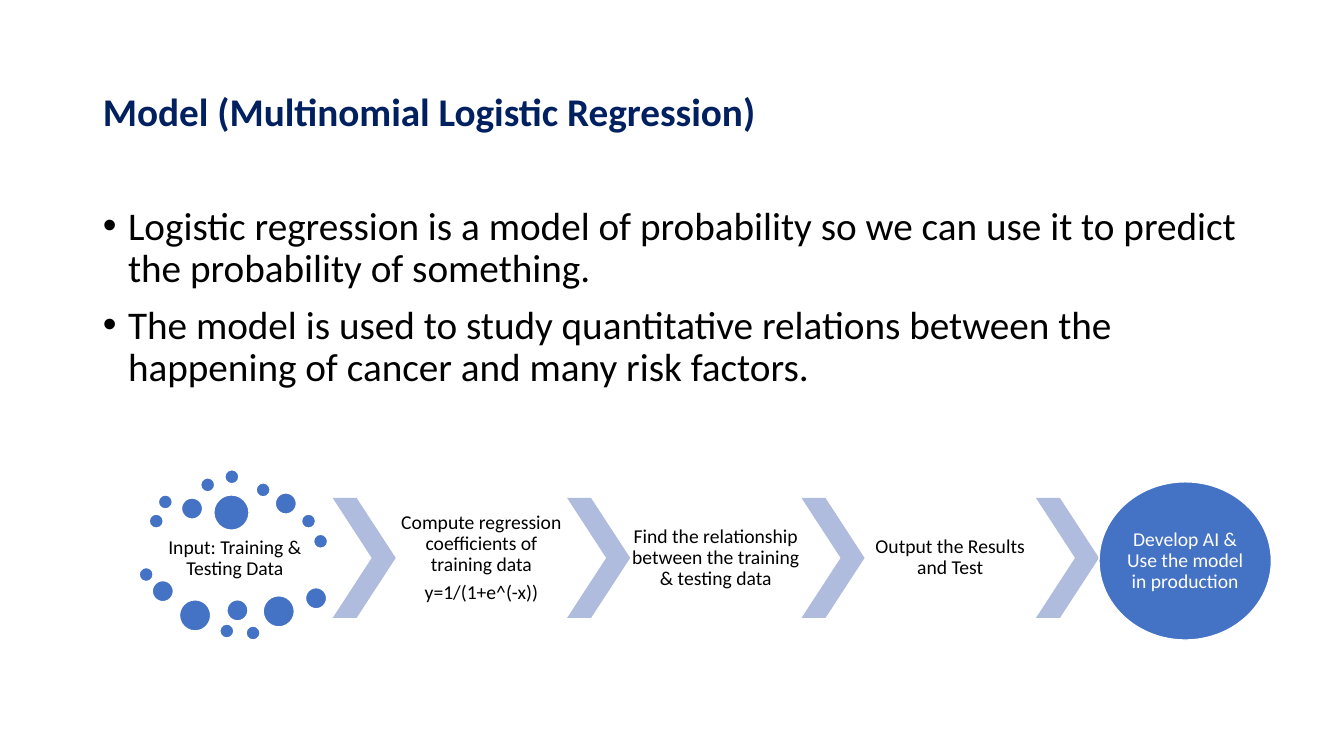
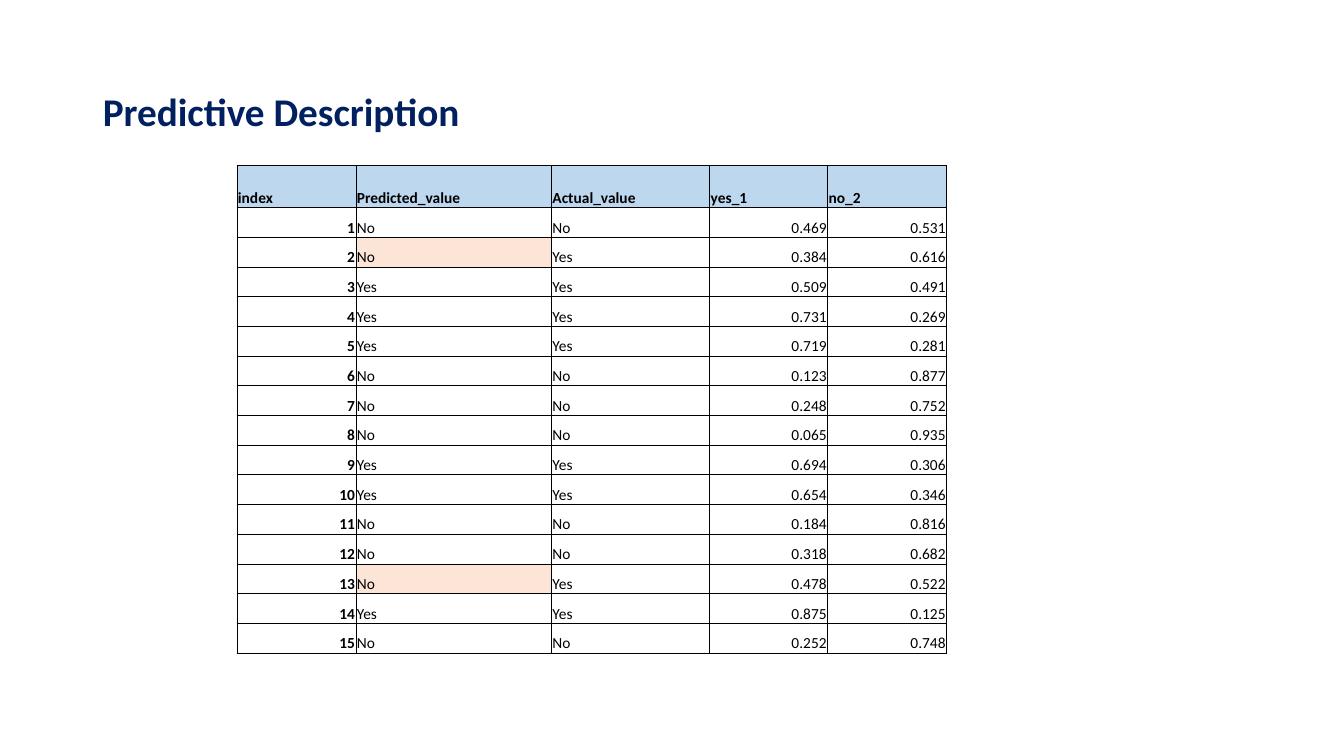
"""Build two slides on a logistic regression model and its predictions."""
import lxml.etree
import pptx
import pptx.dml.color
import pptx.enum.shapes
import pptx.enum.text
import pptx.oxml.ns
import pptx.util

Align = pptx.enum.text.PP_ALIGN
Anchor = pptx.enum.text.MSO_ANCHOR
Shape = pptx.enum.shapes.MSO_SHAPE
UNIT = 9144


class Theme:
    """Colours, fonts and type sizes in points."""
    font = "Calibri"
    navy, black, white = "002060", "000000", "FFFFFF"
    blue, pale = "4472C4", "B0BCDE"
    head, miss = "BDD7EE", "FCE4D6"
    large, label, small = 28, 14, 11
    tight = 0.9


SIZE = (1333, 750)
TITLE_BOX = (92, 86, 1150, 53)
BODY_BOX = (92, 200, 1196, 452)
TITLES = ["Model (Multinomial Logistic Regression)", "Predictive Description"]
POINTS = [
    "Logistic regression is a model of probability so we can use it to predict the probability of something.",
    "The model is used to study quantitative relations between the happening of cancer and many risk factors.",
]

START = ["Input: Training & Testing Data"]
STEPS = [
    ["Compute regression coefficients of training data", "y=1/(1+e^(-x))"],
    ["Find the relationship between the training & testing data"],
    ["Output the Results and Test"],
]
FINISH = ["Develop AI & Use the model in production"]
START_BOX = (136, 511, 194, 87)
FINISH_BOX = (1090, 478, 171, 157)
FLOW_LEFT, FLOW_TOP, FLOW_HIGH = 330, 494, 119
ARROW, STEP = 62.5, 170
DOTS = {
    14: [(148, 510), (157, 491), (199, 474), (223, 466), (254, 479), (299, 510),
         (311, 530), (138, 563), (218, 619), (244, 621)],
    21: [(180, 494), (273, 489), (151, 576), (225, 595), (303, 583)],
    31: [(178, 595), (261, 591)],
    35: [(212, 491)],
}

GRID_BOX = (235, 164, 704, 484)
HEAD_HIGH = 42
COLS = [118, 194, 157, 117, 118]
HEADS = ["index", "Predicted_value", "Actual_value", "yes_1", "no_2"]
ROWS = [
    ("No", "No", "0.469", "0.531"),
    ("No", "Yes", "0.384", "0.616"),
    ("Yes", "Yes", "0.509", "0.491"),
    ("Yes", "Yes", "0.731", "0.269"),
    ("Yes", "Yes", "0.719", "0.281"),
    ("No", "No", "0.123", "0.877"),
    ("No", "No", "0.248", "0.752"),
    ("No", "No", "0.065", "0.935"),
    ("Yes", "Yes", "0.694", "0.306"),
    ("Yes", "Yes", "0.654", "0.346"),
    ("No", "No", "0.184", "0.816"),
    ("No", "No", "0.318", "0.682"),
    ("No", "Yes", "0.478", "0.522"),
    ("Yes", "Yes", "0.875", "0.125"),
    ("No", "No", "0.252", "0.748"),
]


def px(*nums):
    return [round(num * UNIT) for num in nums]


def tint(name):
    return pptx.dml.color.RGBColor.from_string(name)


def inset(item, left, top, right, base):
    item.margin_left, item.margin_top, item.margin_right, item.margin_bottom = px(left, top, right, base)


def write(frame, lines, size, color, align=Align.LEFT, bold=False, gap=0, tight=None):
    frame.text = "\n".join(lines)
    for spot, para in enumerate(frame.paragraphs):
        para.alignment = align
        para.space_before = pptx.util.Pt(gap if spot else 0)
        para.line_spacing = tight
        for run in para.runs:
            font = run.font
            font.name, font.size, font.bold = Theme.font, pptx.util.Pt(size), bold
            font.color.rgb = tint(color)


def place(item, box):
    item.left, item.top, item.width, item.height = px(*box)
    item.text_frame.auto_size = pptx.enum.text.MSO_AUTO_SIZE.NONE


def start(deck, layout, title):
    slide = deck.slides.add_slide(deck.slide_layouts[layout])
    head = slide.shapes.title
    place(head, TITLE_BOX)
    head.text_frame.vertical_anchor = Anchor.MIDDLE
    write(head.text_frame, [title], Theme.large, Theme.navy, bold=True, tight=Theme.tight)
    return slide


def draw(shapes, kind, box, fill, edge=None):
    item = shapes.add_shape(kind, *px(*box))
    item.shadow.inherit = False
    item.fill.solid()
    item.fill.fore_color.rgb = tint(fill)
    if edge:
        item.line.color.rgb = tint(edge)
        item.line.width = pptx.util.Pt(1)
    else:
        item.line.fill.background()
    return item


def label(item, lines, color=Theme.black, pad=2):
    frame = item.text_frame
    frame.word_wrap = True
    frame.vertical_anchor = Anchor.MIDDLE
    inset(frame, pad, pad, pad, pad)
    write(frame, lines, Theme.label, color, Align.CENTER, gap=5, tight=Theme.tight)


def flow(slide):
    shapes = slide.shapes.add_group_shape().shapes
    label(shapes.add_textbox(*px(*START_BOX)), START)
    for size, spots in DOTS.items():
        for left, top in spots:
            draw(shapes, Shape.OVAL, (left, top, size, size), Theme.blue, Theme.white)
    for spot in range(len(STEPS) + 1):
        left = FLOW_LEFT + spot * (ARROW + STEP)
        arrow = draw(shapes, Shape.CHEVRON, (left, FLOW_TOP, ARROW, FLOW_HIGH), Theme.pale)
        arrow.adjustments[0] = 0.62
        if spot < len(STEPS):
            box = (left + ARROW, FLOW_TOP, STEP, FLOW_HIGH)
            label(shapes.add_textbox(*px(*box)), STEPS[spot])
    end = draw(shapes, Shape.OVAL, FINISH_BOX, Theme.blue, Theme.white)
    label(end, FINISH, Theme.white, 0)


def bullets(slide):
    body = slide.placeholders[1]
    place(body, BODY_BOX)
    write(body.text_frame, POINTS, Theme.large, Theme.black, gap=10, tight=Theme.tight)
    for para in body.text_frame.paragraphs:
        props = para._p.get_or_add_pPr()
        props.set("marL", str(25 * UNIT))
        props.set("indent", str(-25 * UNIT))


def border(cell):
    qn, sub = pptx.oxml.ns.qn, lxml.etree.SubElement
    props = cell._tc.get_or_add_tcPr()
    for side in "LRTB":
        line = sub(props, qn("a:ln" + side), w="6350")
        sub(sub(line, qn("a:solidFill")), qn("a:srgbClr"), val=Theme.black)


def grid(slide):
    rows = [HEADS] + [(str(num), *row) for num, row in enumerate(ROWS, 1)]
    table = slide.shapes.add_table(len(rows), len(COLS), *px(*GRID_BOX)).table
    table.first_row = table.horz_banding = False
    for col, width in zip(table.columns, px(*COLS)):
        col.width = width
    high = (GRID_BOX[3] - HEAD_HIGH) / len(ROWS)
    for r, row in enumerate(rows):
        table.rows[r].height = px(high if r else HEAD_HIGH)[0]
        for c, text in enumerate(row):
            cell = table.cell(r, c)
            cell.vertical_anchor = Anchor.BOTTOM
            inset(cell, 1, 1, 1, 0)
            align = Align.RIGHT if r and c not in (1, 2) else Align.LEFT
            write(cell.text_frame, [text], Theme.small, Theme.black, align, bold=r == 0 or c == 0)
            border(cell)
            wrong = c == 1 and row[1] != row[2]
            if r == 0 or wrong:
                cell.fill.solid()
                cell.fill.fore_color.rgb = tint(Theme.miss if r else Theme.head)
            else:
                cell.fill.background()


def main():
    deck = pptx.Presentation()
    deck.slide_width, deck.slide_height = px(*SIZE)
    model = start(deck, 1, TITLES[0])
    bullets(model)
    flow(model)
    grid(start(deck, 5, TITLES[1]))
    deck.save("out.pptx")


if __name__ == "__main__":
    main()
